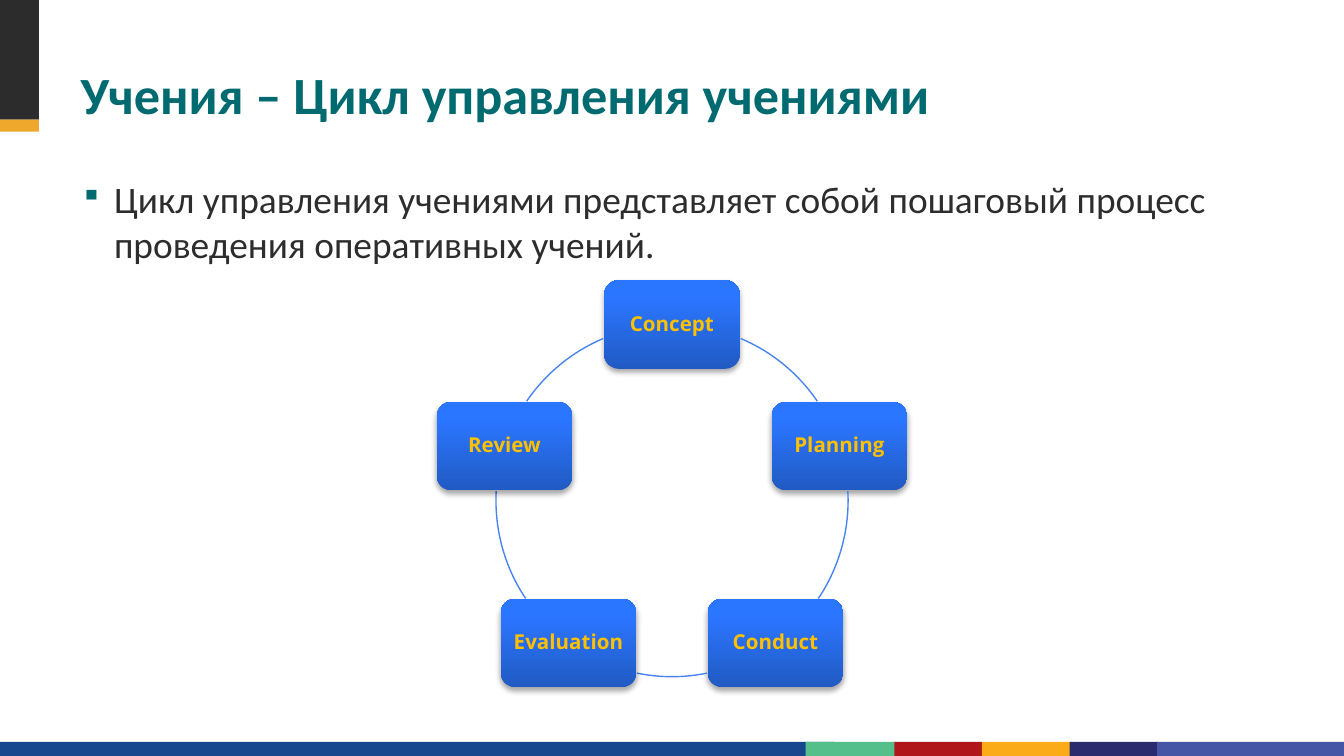
from math import cos, radians, sin

from lxml import etree
from pptx import Presentation
from pptx import util as u
from pptx.dml.color import RGBColor
from pptx.enum import shapes, text
from pptx.oxml import ns

PX = u.Inches(1) // 200
CENTER_X, CENTER_Y, RADIUS = 1000, 745, 262
BOX_W, BOX_H = 202, 132

STEPS = ["Concept", "Planning", "Conduct", "Evaluation", "Review"]
ARCS = [(293, 325.6), (356.9, 33.8), (78.5, 101.5), (146.2, 183.1), (214.4, 247)]
BANDS = [
    (1330, 1104, 132, 21, "B01519"),
    (1461, 1104, 132, 21, "FBAB18"),
    (1592, 1104, 132, 21, "292B6E"),
    (1722, 1104, 278, 21, "4656A6"),
    (0, 1104, 1242, 21, "17468F"),
    (1199, 1104, 132, 21, "55BF8B"),
    (0, 0, 58, 178, "2D2C2C"),
    (0, 178, 58, 18, "F0A82C"),
]


def px(*lengths):
    return [round(n * PX) for n in lengths]


def color(value):
    return RGBColor.from_string(value)


def add_child(parent, tag, **attrs):
    return etree.SubElement(parent, ns.qn(tag), attrs)


def add_run(p, words, size, font, fill, bold=False):
    r = p.add_run()
    r.text = words
    r.font.size = u.Pt(size)
    r.font.name = font
    r.font.bold = bold
    r.font.color.rgb = color(fill)


def add_band(s, x, y, w, h, fill):
    sp = s.shapes.add_shape(shapes.MSO_SHAPE.RECTANGLE, *px(x, y, w, h))
    sp.shadow.inherit = False
    sp.fill.solid()
    sp.fill.fore_color.rgb = color(fill)
    sp.line.fill.background()


def set_title(s, words):
    title = s.shapes.title
    title.left, title.top, title.width, title.height = px(100, 46, 1800, 150)
    tf = title.text_frame
    tf.auto_size = text.MSO_AUTO_SIZE.NONE
    tf.vertical_anchor = text.MSO_ANCHOR.BOTTOM
    p = tf.paragraphs[0]
    p.alignment = text.PP_ALIGN.LEFT
    p.line_spacing = 1.07
    add_run(p, words, 28, "Calibri", "006A71", bold=True)


def add_bullet_text(s, words):
    tf = s.shapes.add_textbox(*px(100, 252, 1784, 490)).text_frame
    tf.word_wrap = True
    p = tf.paragraphs[0]
    pPr = p._p.get_or_add_pPr()
    pPr.set("marL", str(50 * PX))
    pPr.set("indent", str(-50 * PX))
    add_child(add_child(pPr, "a:buClr"), "a:srgbClr", val="006A71")
    add_child(pPr, "a:buSzPct", val="80000")
    add_child(pPr, "a:buChar", char="▪")
    add_run(p, words, 20, "Calibri", "2D2D2D")


def add_drop_shadow(sp):
    sp.shadow.inherit = False
    effects = sp._element.spPr.find(ns.qn("a:effectLst"))
    shadow = add_child(effects, "a:outerShdw", blurRad=str(u.Pt(3.1)),
                       dist=str(u.Pt(1.8)), dir="5400000", rotWithShape="0")
    add_child(add_child(shadow, "a:srgbClr", val="000000"), "a:alpha", val="35000")


def add_step(s, name, angle):
    """Place a step box with its middle on the ring, angle in degrees clockwise."""
    x = CENTER_X + RADIUS * cos(radians(angle)) - BOX_W / 2
    y = CENTER_Y + RADIUS * sin(radians(angle)) - BOX_H / 2
    sp = s.shapes.add_shape(shapes.MSO_SHAPE.ROUNDED_RECTANGLE, *px(x, y, BOX_W, BOX_H))
    add_drop_shadow(sp)
    sp.line.fill.background()
    sp.fill.gradient()
    sp.fill.gradient_angle = 90
    for stop, (position, value) in zip(sp.fill.gradient_stops, [(0, "215AC3"), (0.8, "2B76FF")]):
        stop.position = position
        stop.color.rgb = color(value)
    tf = sp.text_frame
    tf.word_wrap = True
    tf.vertical_anchor = text.MSO_ANCHOR.MIDDLE
    tf.margin_left = tf.margin_right = tf.margin_top = tf.margin_bottom = 10 * PX
    p = tf.paragraphs[0]
    p.alignment = text.PP_ALIGN.CENTER
    p.line_spacing = 0.9
    add_run(p, name, 11, "Open Sans", "FFC000", bold=True)


def add_arc(s, start, end):
    """Draw the part of the ring between two angles in degrees, clockwise."""
    sp = s.shapes.add_shape(
        shapes.MSO_SHAPE.ARC,
        *px(CENTER_X - RADIUS, CENTER_Y - RADIUS, 2 * RADIUS, 2 * RADIUS))
    sp.shadow.inherit = False
    # An arc angle is stored in 1/60000 degree, an adjustment in 1/100000
    sp.adjustments[0] = start * 0.6
    sp.adjustments[1] = end * 0.6
    sp.fill.background()
    sp.line.color.rgb = color("4783F1")
    sp.line.width = u.Pt(0.75)


def main():
    prs = Presentation()
    prs.slide_width, prs.slide_height = px(2000, 1125)
    s = prs.slides.add_slide(prs.slide_layouts[5])
    for band in BANDS:
        add_band(s, *band)
    set_title(s, "Учения – Цикл управления учениями")
    add_bullet_text(s, "Цикл управления учениями представляет собой пошаговый "
                       "процесс проведения оперативных учений.")
    for i, (name, arc) in enumerate(zip(STEPS, ARCS)):
        add_step(s, name, -90 + i * 360 / len(STEPS))
        add_arc(s, *arc)
    prs.save("out.pptx")


if __name__ == "__main__":
    main()
